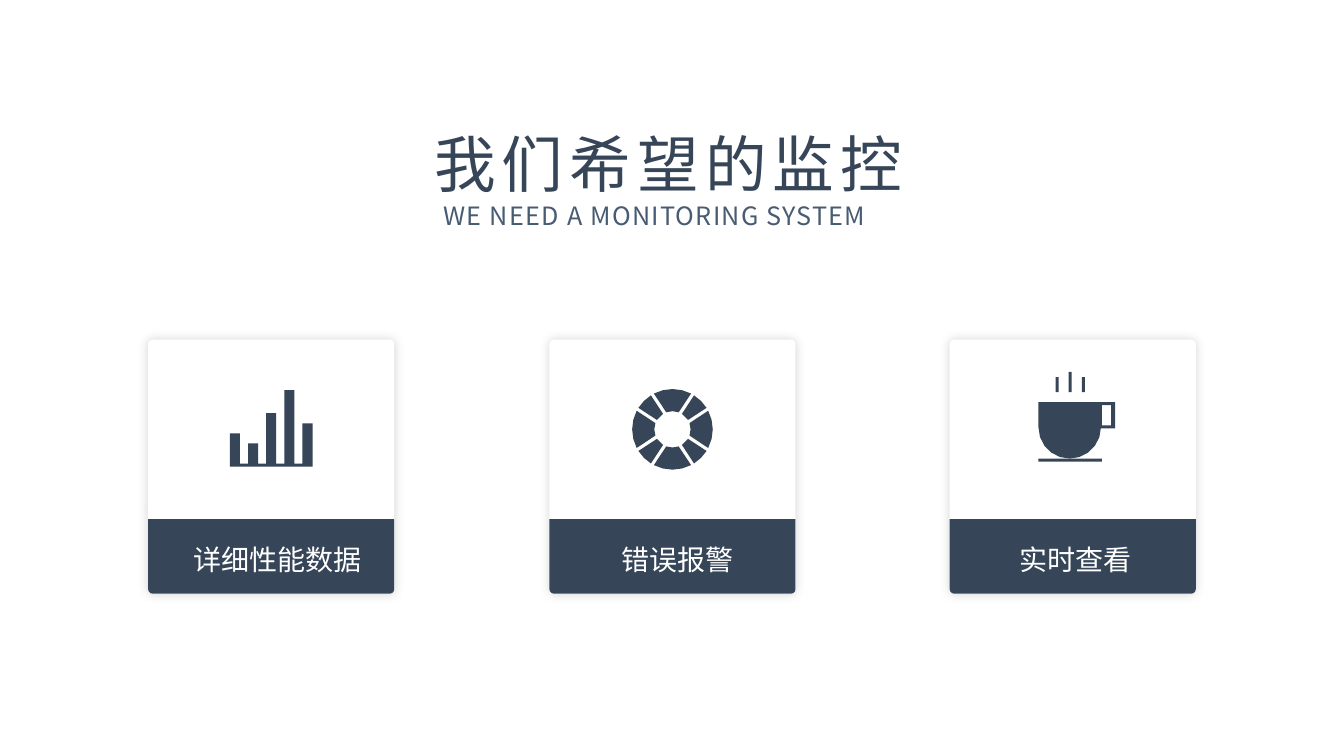
"""Build the slide with a heading and three monitoring cards."""
from math import cos, radians, sin

from lxml import etree
from pptx import Presentation
from pptx.dml.color import RGBColor
from pptx.enum.shapes import MSO_SHAPE as Shape
from pptx.enum.text import MSO_ANCHOR as Anchor, MSO_AUTO_SIZE as AutoSize, PP_ALIGN as Align
from pptx.oxml.ns import qn
from pptx.util import Inches, Pt

TITLE = "我们希望的监控"
SUBTITLE = "WE NEED A MONITORING SYSTEM"
NAVY, SLATE, WHITE = "364557", "475B73", "FFFFFF"
CARDS = [("详细性能数据", 1.47, 1.86, 1.78), ("错误报警", 5.45, 6.11, 1.23),
         ("实时查看", 9.42, 10.05, 1.23)]
CARD_TOP, CARD_WIDTH, CARD_HEIGHT, FOOTER_HEIGHT = 3.37, 2.44, 2.52, 0.74
BAR_TOPS = [4.3, 4.4, 4.1, 3.87, 4.2]
RING_CENTER, RING_OUTER, RING_INNER = (6.67, 4.26), 0.4, 0.18
RING_PARTS = [(27.5, 20, 4), (12.7, 13.7, 2)]
CUP_HANDLE_HOLE = [(10.93, 4.02), (11.02, 4.02), (11.02, 4.22), (10.93, 4.22)]
CUP_STRIPS = [(10.3, 4.55, 0.63, 0.03), (10.47, 3.74, 0.03, 0.15),
              (10.73, 3.74, 0.03, 0.15), (10.6, 3.69, 0.03, 0.2)]


def color(value):
    return RGBColor.from_string(value)


def paint(shape, fill):
    shape.fill.solid()
    shape.fill.fore_color.rgb = color(fill)
    shape.line.fill.background()
    shape.shadow.inherit = False


def add_box(shapes, kind, bounds, fill, adjustments=()):
    box = shapes.add_shape(kind, *map(Inches, bounds))
    paint(box, fill)
    for index, value in enumerate(adjustments):
        box.adjustments[index] = value
    return box


def add_outline(shapes, *contours):
    first, *others = [[(Inches(x), Inches(y)) for x, y in contour] for contour in contours]
    builder = shapes.build_freeform(*first[0])
    builder.add_line_segments(first[1:])
    for contour in others:
        builder.move_to(*contour[0])
        builder.add_line_segments(contour[1:])
    paint(builder.convert_to_shape(), NAVY)


def arc(center, radius, start, end, steps):
    angles = [radians(start + (end - start) * i / steps) for i in range(steps + 1)]
    return [(center[0] + radius * cos(a), center[1] + radius * sin(a)) for a in angles]


def write(box, text, size, font, fill, align, spacing=0):
    frame = box.text_frame
    frame.word_wrap = False
    frame.auto_size = AutoSize.SHAPE_TO_FIT_TEXT
    frame.vertical_anchor = Anchor.TOP
    frame.margin_left = frame.margin_right = Inches(0.05)
    frame.margin_top = frame.margin_bottom = Inches(0.05)
    para = frame.paragraphs[0]
    span = para.add_run()
    span.text = text
    para.alignment = align
    para.font.size = Pt(size)
    para.font.name = font
    para.font.color.rgb = color(fill)
    if spacing:
        span.font._element.set("spc", str(spacing))


def add_shadow(shape):
    effects = shape._element.spPr.find(qn("a:effectLst"))
    shadow = etree.SubElement(effects, qn("a:outerShdw"), blurRad=str(Pt(8)), dist="0",
                              algn="ctr", rotWithShape="0")
    tint = etree.SubElement(shadow, qn("a:srgbClr"), val="000000")
    etree.SubElement(tint, qn("a:alpha"), val="16000")


def draw_bars(shapes):
    points = []
    for index, top in enumerate(BAR_TOPS):
        left = 2.28 + 0.18 * index
        points += [(left, 4.6), (left, top), (left + 0.1, top), (left + 0.1, 4.6)]
    add_outline(shapes, [(2.28, 4.63)] + points[1:-1] + [(3.1, 4.63)])


def draw_ring(shapes):
    for index in range(8):
        middle = 45 * index - 90
        outer, inner, steps = RING_PARTS[index % 2]
        add_outline(shapes, arc(RING_CENTER, RING_OUTER, middle - outer, middle + outer, steps)
                    + arc(RING_CENTER, RING_INNER, middle + inner, middle - inner, steps // 2))


def draw_cup(shapes):
    bowl = arc((10.61, 4.24), 0.31, 180, 0, 10)
    add_outline(shapes, [(11.06, 4.25), (11.06, 3.99), (10.3, 3.99)] + bowl + [(10.92, 4.25)],
                CUP_HANDLE_HOLE)
    for bounds in CUP_STRIPS:
        add_box(shapes, Shape.RECTANGLE, bounds, NAVY)


def main():
    deck = Presentation()
    deck.slide_width, deck.slide_height = Inches(13.33), Inches(7.5)
    page = deck.slides.add_slide(deck.slide_layouts[5])

    title = page.shapes.title
    title.left, title.top, title.width, title.height = map(Inches, (4.22, 1.2, 4.82, 0.96))
    write(title, TITLE, 44, "Arial", NAVY, Align.CENTER, 440)

    for (label, card_left, label_left, label_width), draw_icon in zip(
            CARDS, (draw_bars, draw_ring, draw_cup)):
        shapes = page.shapes.add_group_shape().shapes
        card = add_box(shapes, Shape.ROUNDED_RECTANGLE,
                       (card_left, CARD_TOP, CARD_WIDTH, CARD_HEIGHT), WHITE, [0.019])
        add_shadow(card)
        footer_top = CARD_TOP + CARD_HEIGHT - FOOTER_HEIGHT
        add_box(shapes, Shape.ROUND_2_SAME_RECTANGLE,
                (card_left, footer_top, CARD_WIDTH, FOOTER_HEIGHT), NAVY, [0, 0.06])
        draw_icon(shapes)
        box = shapes.add_textbox(*map(Inches, (label_left, 5.33, label_width, 0.49)))
        write(box, label, 20, "Arial", WHITE, Align.CENTER)

    subtitle = page.shapes.add_textbox(*map(Inches, (4.35, 1.94, 4.61, 0.41)))
    write(subtitle, SUBTITLE, 18, "Noto Sans CJK SC", SLATE, Align.LEFT, 90)
    deck.save("out.pptx")


if __name__ == "__main__":
    main()
